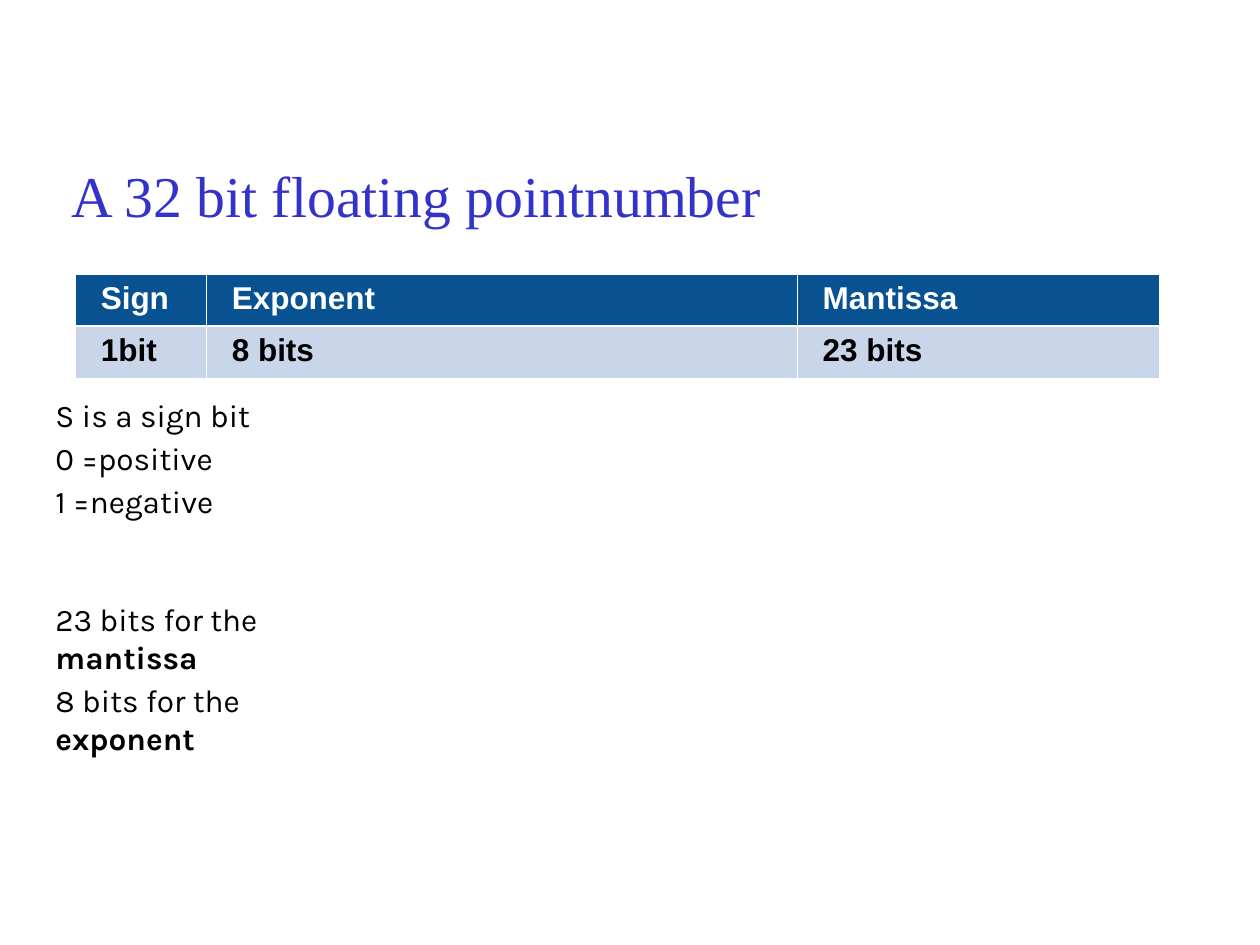
from lxml import etree
from pptx import Presentation
from pptx.dml.color import RGBColor
from pptx.enum.text import MSO_ANCHOR, MSO_AUTO_SIZE, PP_ALIGN
from pptx.oxml.ns import qn
from pptx.util import Inches, Pt

TOP, MIDDLE = MSO_ANCHOR.TOP, MSO_ANCHOR.MIDDLE
GROW = MSO_AUTO_SIZE.SHAPE_TO_FIT_TEXT
LEFT, CENTER = PP_ALIGN.LEFT, PP_ALIGN.CENTER

COLORS = {
    "title": "3333CC",
    "text": "000000",
    "white": "FFFFFF",
    "header": "095292",
    "value": "C9D6EA",
}


def style_paragraph(paragraph, indent, font, size, color, bold=None):
    """Indent a paragraph without a bullet and set its font."""
    properties = paragraph._p.get_or_add_pPr()
    properties.set("marL", str(Inches(indent)))
    properties.set("indent", "0")
    etree.SubElement(properties, qn("a:buNone"))
    formats = {"name": font, "size": Pt(size), "bold": bold}
    for key, value in formats.items():
        setattr(paragraph.font, key, value)
    paragraph.font.color.rgb = RGBColor.from_string(COLORS[color])


def place(placeholder, left, top, width, height, inset, anchor):
    """Move a placeholder and set up its text frame."""
    box = {"left": left, "top": top, "width": width, "height": height}
    for key, value in box.items():
        setattr(placeholder, key, Inches(value))
    frame_formats = {
        "margin_left": 0, "margin_right": 0, "margin_bottom": 0,
        "margin_top": Inches(inset), "vertical_anchor": anchor,
        "word_wrap": True, "auto_size": GROW,
    }
    for key, value in frame_formats.items():
        setattr(placeholder.text_frame, key, value)


prs = Presentation()
prs.slide_width, prs.slide_height = Inches(10), Inches(7.5)
slide = prs.slides.add_slide(prs.slide_layouts[1])

# Title
title = slide.shapes.title
place(title, 0.5, 1.25, 5.6, 0.57, 0.01, MIDDLE)
heading = title.text_frame.paragraphs[0]
heading.text = "A 32 bit floating pointnumber"
heading.alignment = CENTER
style_paragraph(heading, 0.01, "Times New Roman", 33, "title")

# Explanation: plain text, bold text, space before in points
explanations = [
    ("S is a sign bit", "", 0),
    ("0 =positive", "", 3),
    ("1 =negative", "", 3),
    ("23 bits for the ", "mantissa", 46),
    ("8 bits for the ", "exponent", 3),
]
body = slide.placeholders[1]
place(body, 0.43, 3.09, 2.49, 2.92, 0.05, TOP)
for number, (plain, strong, space) in enumerate(explanations):
    frame = body.text_frame
    line = frame.add_paragraph() if number else frame.paragraphs[0]
    line.alignment = LEFT
    line.space_before = Pt(space)
    style_paragraph(line, 0.01, "Karla", 18, "text")
    line.add_run().text = plain
    if strong:
        strong_run = line.add_run()
        strong_run.text = strong
        strong_run.font.bold = True

# Table of the bit fields
fields = [("Sign", "1bit", 1.04), ("Exponent", "8 bits", 4.69), ("Mantissa", "23 bits", 2.87)]
row_colors = [("header", "white"), ("value", "text")]
layout = slide.shapes.add_table(
    2, 3, Inches(0.6), Inches(2.18), Inches(8.6), Inches(0.75)).table
for row, height in zip(layout.rows, (0.38, 0.37)):
    row.height = Inches(height)

for column, (name, bits, width) in enumerate(fields):
    layout.columns[column].width = Inches(width)
    for row, text in enumerate((name, bits)):
        fill_color, text_color = row_colors[row]
        cell = layout.cell(row, column)
        cell.text = text
        cell.margin_top, cell.margin_bottom = Inches(0.05), Inches(0.06)
        style_paragraph(cell.text_frame.paragraphs[0], 0.1, "Arial", 18, text_color, True)

        # White borders, thicker between the two rows
        thick_side = "B" if row == 0 else "T"
        for side in "LRTB":
            line_width = Pt(1.47 if side == thick_side else 0.45)
            border = etree.SubElement(
                cell._tc.get_or_add_tcPr(), qn(f"a:ln{side}"), w=str(line_width))
            border_fill = etree.SubElement(border, qn("a:solidFill"))
            etree.SubElement(border_fill, qn("a:srgbClr"), val=COLORS["white"])
        cell.fill.solid()
        cell.fill.fore_color.rgb = RGBColor.from_string(COLORS[fill_color])

prs.save("out.pptx")
